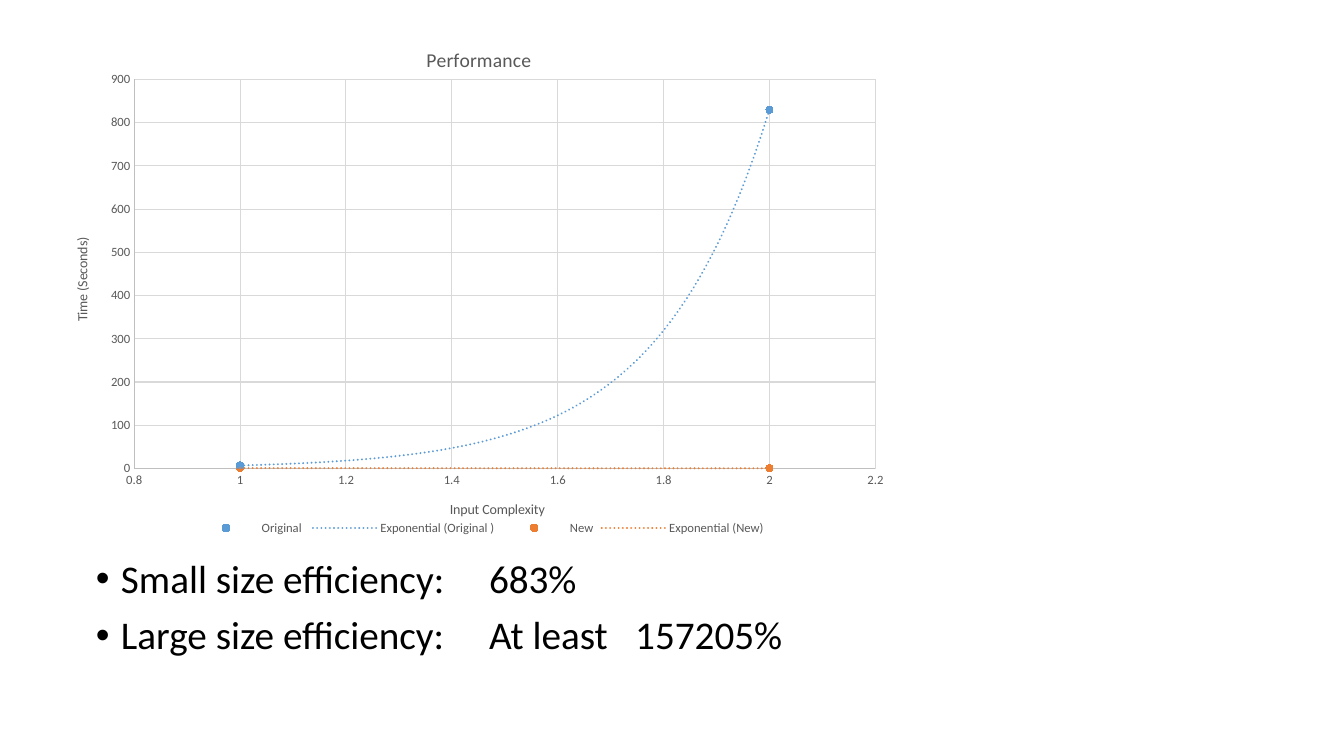
from dataclasses import dataclass

from lxml.etree import SubElement
from pptx import Presentation
from pptx.chart.axis import ValueAxis
from pptx.chart.chart import Chart
from pptx.chart.data import XyChartData
from pptx.chart.series import XySeries
from pptx.dml.color import RGBColor
from pptx.enum.chart import XL_CHART_TYPE as ChartType
from pptx.enum.chart import XL_LEGEND_POSITION as LegendPosition
from pptx.enum.chart import XL_MARKER_STYLE as MarkerStyle
from pptx.enum.chart import XL_TICK_MARK as TickMark
from pptx.enum.text import MSO_ANCHOR, MSO_AUTO_SIZE
from pptx.oxml import parse_xml
from pptx.oxml.ns import nsdecls, qn
from pptx.slide import Slide
from pptx.text.text import Font, TextFrame
from pptx.util import Inches, Pt

FONT = "Calibri"
COLORS = {
    "text": "000000",
    "label": "595959",
    "axis": "BFBFBF",
    "grid": "D9D9D9",
    "original": "5B9BD5",
    "new": "ED7D31",
}


@dataclass
class Timing:
    name: str
    color: str
    seconds: tuple[float, float]


@dataclass
class AxisScale:
    title: str
    minimum: float
    maximum: float
    step: float


TIMINGS = [
    Timing("Original ", "original", (7, 830)),
    Timing("New", "new", (1, 0.5)),
]
COMPLEXITY = AxisScale("Input Complexity", 0.8, 2.2, 0.2)
TIME = AxisScale("Time (Seconds)", 0, 900, 100)
EFFICIENCIES = [
    ("Small size efficiency:", "683%"),
    ("Large size efficiency:", "At least", "157205%"),
]
TAB_STOPS = (3.9, 5.35)
PLOT_AREA = {"x": 0.081, "y": 0.102, "w": 0.901, "h": 0.76}


def rgb(color: str) -> RGBColor:
    return RGBColor.from_string(COLORS[color])


def style_font(font: Font, size: float, color: str = "label") -> None:
    font.name = FONT
    font.size = Pt(size)
    font.bold = False
    font.color.rgb = rgb(color)


def write_title(frame: TextFrame, text: str, size: float) -> None:
    run = frame.paragraphs[0].add_run()
    run.text = text
    style_font(run.font, size)


def style_axis(axis: ValueAxis, scale: AxisScale) -> None:
    axis.minimum_scale = scale.minimum
    axis.maximum_scale = scale.maximum
    axis.major_unit = scale.step
    axis.major_tick_mark = axis.minor_tick_mark = TickMark.NONE
    axis.has_major_gridlines = True
    for line, color in ((axis.format.line, "axis"), (axis.major_gridlines.format.line, "grid")):
        line.width = Pt(0.75)
        line.color.rgb = rgb(color)
    style_font(axis.tick_labels.font, 9)
    axis.tick_labels.number_format = "General"
    axis.tick_labels.number_format_is_linked = False
    write_title(axis.axis_title.text_frame, scale.title, 10)


def add_exponential_trend(series: XySeries, color: str) -> None:
    trend = parse_xml(
        f'<c:trendline {nsdecls("c", "a")}><c:spPr><a:ln w="{Pt(1.5)}" cap="rnd">'
        f'<a:solidFill><a:srgbClr val="{COLORS[color]}"/></a:solidFill>'
        '<a:prstDash val="sysDot"/></a:ln></c:spPr><c:trendlineType val="exp"/>'
        '<c:dispRSqr val="0"/><c:dispEq val="0"/></c:trendline>'
    )
    series._element.find(qn("c:xVal")).addprevious(trend)


def set_plot_area(chart: Chart) -> None:
    plot_area = chart._chartSpace.chart.plotArea
    for layout in plot_area.findall(qn("c:layout")):
        plot_area.remove(layout)
    modes = '<c:layoutTarget val="inner"/><c:xMode val="edge"/><c:yMode val="edge"/>'
    sizes = "".join(f'<c:{side} val="{share}"/>' for side, share in PLOT_AREA.items())
    plot_area.insert(0, parse_xml(
        f'<c:layout {nsdecls("c")}><c:manualLayout>{modes}{sizes}</c:manualLayout></c:layout>'
    ))


def add_performance_chart(slide: Slide) -> None:
    data = XyChartData()
    for timing in TIMINGS:
        points = data.add_series(timing.name)
        for complexity, seconds in enumerate(timing.seconds, start=1):
            points.add_data_point(complexity, seconds)
    chart = slide.shapes.add_chart(
        ChartType.XY_SCATTER, Inches(0.67), Inches(0.27), Inches(8.16), Inches(5.08), data
    ).chart
    style_font(chart.font, 10, "text")
    chart.has_title = True
    write_title(chart.chart_title.text_frame, "Performance", 14)
    chart.chart_title.include_in_layout = False
    chart.has_legend = True
    chart.legend.position = LegendPosition.BOTTOM
    chart.legend.include_in_layout = False
    style_font(chart.legend.font, 9)
    style_axis(chart.category_axis, COMPLEXITY)
    style_axis(chart.value_axis, TIME)
    set_plot_area(chart)

    # Points and their trend lines
    chart.plots[0].vary_by_categories = False
    for series, timing in zip(chart.plots[0].series, TIMINGS):
        series.smooth = False
        series.format.line.fill.background()
        series.marker.style = MarkerStyle.CIRCLE
        series.marker.size = 5
        for part in (series.marker.format.fill, series.marker.format.line.fill):
            part.solid()
            part.fore_color.rgb = rgb(timing.color)
        add_exponential_trend(series, timing.color)


def fill_efficiencies(slide: Slide) -> None:
    body = slide.placeholders[1]
    body.left, body.top = Inches(0.85), Inches(5.5)
    body.width, body.height = Inches(8.32), Inches(1.66)
    frame = body.text_frame
    frame.word_wrap = True
    frame.auto_size = MSO_AUTO_SIZE.NONE
    frame.vertical_anchor = MSO_ANCHOR.TOP
    for index, parts in enumerate(EFFICIENCIES):
        paragraph = frame.add_paragraph() if index else frame.paragraphs[0]
        paragraph.line_spacing = 0.9
        paragraph.space_before = Pt(10)
        run = paragraph.add_run()
        run.text = "\t".join(parts)
        style_font(run.font, 28, "text")

        # Hanging bullet and tab stops
        properties = paragraph._p.get_or_add_pPr()
        properties.set("marL", str(Inches(0.25)))
        properties.set("indent", str(Inches(-0.25)))
        SubElement(properties, qn("a:buFont"), typeface="Arial")
        SubElement(properties, qn("a:buChar"), char="•")
        tabs = SubElement(properties, qn("a:tabLst"))
        for stop in TAB_STOPS:
            SubElement(tabs, qn("a:tab"), pos=str(Inches(stop)), algn="l")


def main() -> None:
    presentation = Presentation()
    presentation.slide_width, presentation.slide_height = Inches(13.33), Inches(7.5)
    slide = presentation.slides.add_slide(presentation.slide_layouts[1])
    title = slide.shapes.title._element
    title.getparent().remove(title)
    fill_efficiencies(slide)
    add_performance_chart(slide)
    presentation.save("out.pptx")


if __name__ == "__main__":
    main()
